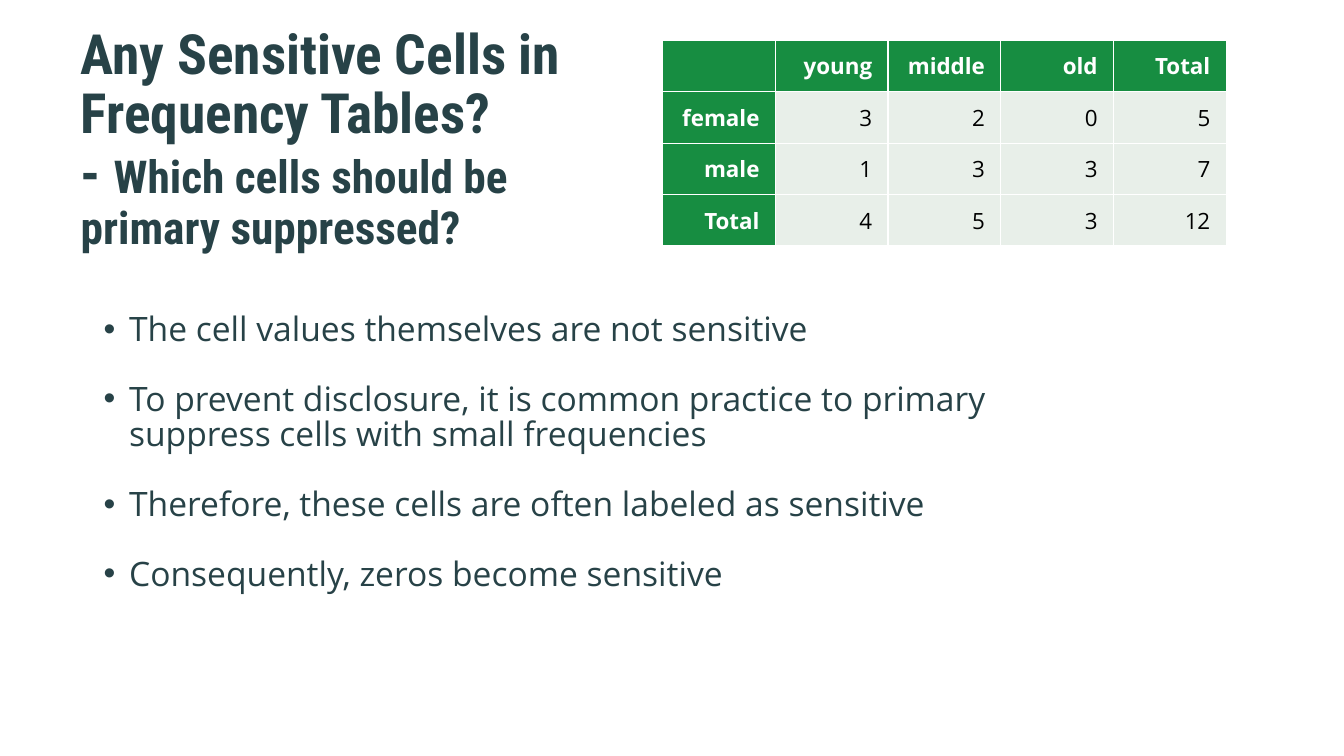
from lxml import etree
from pptx import Presentation
from pptx import util as u
from pptx.dml.color import RGBColor
from pptx.enum import text
from pptx.oxml import ns

COLORS = {"ink": "274247", "green": "178D41", "pale": "E8EFE9",
          "white": "FFFFFF", "black": "000000"}
HEADING_FONT, BODY_FONT = "Roboto Condensed", "Open Sans"

BULLETS = [
    "The cell values themselves are not sensitive",
    "To prevent disclosure, it is common practice to primary "
    "suppress cells with small frequencies",
    "Therefore, these cells are often labeled as sensitive",
    "Consequently, zeros become sensitive",
]
FREQUENCIES = [
    ["", "young", "middle", "old", "Total"],
    ["female", "3", "2", "0", "5"],
    ["male", "1", "3", "3", "7"],
    ["Total", "4", "5", "3", "12"],
]


def color(name):
    return RGBColor.from_string(COLORS[name])


def place(shape, left, top, width, height):
    shape.left, shape.top = u.Cm(left), u.Cm(top)
    shape.width, shape.height = u.Cm(width), u.Cm(height)


class SlideBuilder:
    def __init__(self, presentation):
        self.slide = presentation.slides.add_slide(presentation.slide_layouts[1])

    def add_run(self, paragraph, words, size, font, ink="ink", bold=False):
        run = paragraph.add_run()
        run.text = words
        run.font.size, run.font.name, run.font.bold = u.Pt(size), font, bold
        run.font.color.rgb = color(ink)

    def title(self, heading, dash, question, box):
        shape = self.slide.shapes.title
        place(shape, *box)
        frame = shape.text_frame
        frame.word_wrap, frame.auto_size = True, text.MSO_AUTO_SIZE.NONE
        frame.vertical_anchor = text.MSO_ANCHOR.MIDDLE
        frame.margin_top, frame.margin_bottom = 0, u.Cm(0.13)
        paragraph = frame.paragraphs[0]
        paragraph.alignment = text.PP_ALIGN.LEFT
        paragraph.line_spacing = 0.9
        self.add_run(paragraph, heading, 39.6, HEADING_FONT, bold=True)
        paragraph.add_line_break()
        self.add_run(paragraph, dash, 39.6, HEADING_FONT, bold=True)
        self.add_run(paragraph, question, 32.4, HEADING_FONT, bold=True)

    def bullets(self, items, box):
        shape = self.slide.placeholders[1]
        place(shape, *box)
        frame = shape.text_frame
        frame.word_wrap, frame.auto_size = True, text.MSO_AUTO_SIZE.NONE
        frame.vertical_anchor = text.MSO_ANCHOR.TOP
        for index, item in enumerate(items):
            paragraph = frame.add_paragraph() if index else frame.paragraphs[0]
            paragraph.line_spacing = 0.88
            paragraph.space_before, paragraph.space_after = u.Pt(0), u.Pt(24.4)
            self.add_run(paragraph, item, 24, BODY_FONT)
            # Hanging bullet
            properties = paragraph._p.get_or_add_pPr()
            indent = u.Cm(0.64)
            properties.set("marL", str(indent))
            properties.set("indent", str(-indent))
            etree.SubElement(properties, ns.qn("a:buFont")).set("typeface", "Arial")
            etree.SubElement(properties, ns.qn("a:buChar")).set("char", "•")

    def table(self, rows, box):
        left, top, width, height = map(u.Cm, box)
        table = self.slide.shapes.add_table(
            len(rows), len(rows[0]), left, top, width, height).table
        table.horz_banding = False
        for row_index, row in enumerate(rows):
            for column_index, words in enumerate(row):
                is_header = row_index == 0 or column_index == 0
                self.cell(table.cell(row_index, column_index), words, is_header)

    def cell(self, cell, words, is_header):
        cell.vertical_anchor = text.MSO_ANCHOR.MIDDLE
        cell.margin_left = cell.margin_right = u.Cm(0.4)
        if words:
            paragraph = cell.text_frame.paragraphs[0]
            paragraph.alignment = text.PP_ALIGN.RIGHT
            self.add_run(paragraph, words, 16, BODY_FONT,
                         "white" if is_header else "black", is_header)
        # Borders come before the fill in the cell properties
        properties = cell._tc.get_or_add_tcPr()
        for side in ("lnL", "lnR", "lnT", "lnB"):
            line = etree.SubElement(properties, ns.qn(f"a:{side}"), w=str(u.Pt(1)))
            fill = etree.SubElement(line, ns.qn("a:solidFill"))
            etree.SubElement(fill, ns.qn("a:srgbClr"), val=COLORS["white"])
        cell.fill.solid()
        cell.fill.fore_color.rgb = color("green" if is_header else "pale")


def main():
    presentation = Presentation()
    presentation.slide_width, presentation.slide_height = u.Cm(33.87), u.Cm(19.05)
    builder = SlideBuilder(presentation)

    # Heading and question
    builder.title("Any Sensitive Cells in Frequency Tables?", "- ",
                  "Which cells should be primary suppressed?",
                  (1.78, 0.76, 14.7, 5.69))
    # Explanation
    builder.bullets(BULLETS, (2.36, 7.77, 26.31, 9.1))
    # Frequency table
    builder.table(FREQUENCIES, (16.7, 1.02, 14.2, 5.18))

    presentation.save("out.pptx")


if __name__ == "__main__":
    main()
